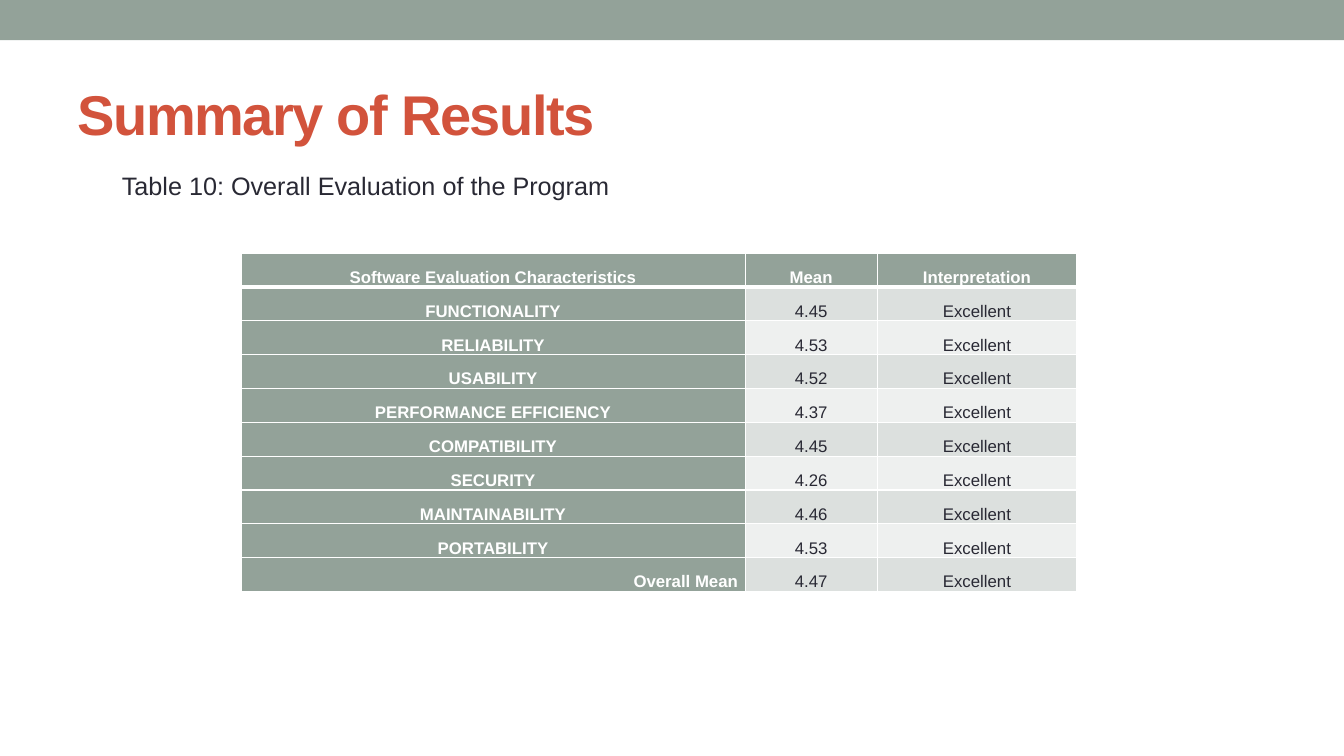
from dataclasses import dataclass

import lxml.etree
import pptx
import pptx.dml.color
import pptx.enum.shapes
import pptx.enum.text
import pptx.oxml.ns
import pptx.util

Inches = pptx.util.Inches
Align = pptx.enum.text.PP_ALIGN
Anchor = pptx.enum.text.MSO_ANCHOR

COLORS = {
    "sage": "93A299",
    "rust": "D2533C",
    "ink": "292934",
    "white": "FFFFFF",
    "band_dark": "DCE0DE",
    "band_light": "EEF0EF",
}
FONT = "Arial"
HEADERS = ("Software Evaluation Characteristics", "Mean", "Interpretation")
COLUMN_WIDTHS = (5, 1.31, 1.98)
ROW_HEIGHT = 0.336


@dataclass(frozen=True)
class Result:
    characteristic: str
    mean: str
    interpretation: str = "Excellent"


@dataclass(frozen=True)
class TextStyle:
    size: float
    color: str
    bold: bool = False
    spacing: float = 0


@dataclass(frozen=True)
class Label:
    text: str
    left: float
    top: float
    width: float
    height: float
    style: TextStyle
    anchor: Anchor = Anchor.TOP
    wrap: bool = True


RESULTS = (
    Result("FUNCTIONALITY", "4.45"),
    Result("RELIABILITY", "4.53"),
    Result("USABILITY", "4.52"),
    Result("PERFORMANCE EFFICIENCY", "4.37"),
    Result("COMPATIBILITY", "4.45"),
    Result("SECURITY", "4.26"),
    Result("MAINTAINABILITY", "4.46"),
    Result("PORTABILITY", "4.53"),
    Result("Overall Mean", "4.47"),
)
LABELS = (
    Label("Summary of Results", 0.67, 0.58, 12, 1.08,
          TextStyle(40, "rust", True, -1), Anchor.MIDDLE),
    Label("Table 10: Overall Evaluation of the Program", 1.11, 1.64, 5.08, 0.4,
          TextStyle(18, "ink"), wrap=False),
)
HEADING = TextStyle(12, "white", True)
BODY = TextStyle(12, "ink")


def rgb(name: str) -> pptx.dml.color.RGBColor:
    return pptx.dml.color.RGBColor.from_string(COLORS[name])


def write_text(text_frame: pptx.text.text.TextFrame, text: str, style: TextStyle) -> None:
    text_frame.text = text
    run = text_frame.paragraphs[0].runs[0]
    run.font.name = FONT
    run.font.size = pptx.util.Pt(style.size)
    run.font.bold = style.bold
    run.font.color.rgb = rgb(style.color)
    if style.spacing:
        run.font._element.set("spc", str(round(style.spacing * 100)))


def add_label(slide: pptx.slide.Slide, label: Label) -> None:
    position = map(Inches, (label.left, label.top, label.width, label.height))
    text_frame = slide.shapes.add_textbox(*position).text_frame
    text_frame.word_wrap = label.wrap
    text_frame.vertical_anchor = label.anchor
    write_text(text_frame, label.text, label.style)


def add_banner(slide: pptx.slide.Slide, width: int) -> None:
    banner = slide.shapes.add_shape(
        pptx.enum.shapes.MSO_SHAPE.RECTANGLE, 0, 0, width, Inches(0.4))
    banner.shadow.inherit = False
    banner.fill.solid()
    banner.fill.fore_color.rgb = rgb("sage")
    banner.line.fill.background()


def set_borders(cell: pptx.table._Cell, top: float, bottom: float) -> None:
    properties = cell._tc.get_or_add_tcPr()
    widths = {"lnL": 1, "lnR": 1, "lnT": top, "lnB": bottom}
    for index, (side, width) in enumerate(widths.items()):
        line = lxml.etree.Element(pptx.oxml.ns.qn(f"a:{side}"), w=str(pptx.util.Pt(width)))
        fill = lxml.etree.SubElement(line, pptx.oxml.ns.qn("a:solidFill"))
        lxml.etree.SubElement(fill, pptx.oxml.ns.qn("a:srgbClr"), val=COLORS["white"])
        properties.insert(index, line)


def fill_cell(cell: pptx.table._Cell, text: str, row: int, column: int, last_row: int) -> None:
    is_heading = row == 0 or column == 0
    write_text(cell.text_frame, text, HEADING if is_heading else BODY)
    paragraph = cell.text_frame.paragraphs[0]
    paragraph.alignment = Align.RIGHT if (row, column) == (last_row, 0) else Align.CENTER
    paragraph.line_spacing = 1.07
    cell.vertical_anchor = Anchor.BOTTOM
    cell.margin_left = cell.margin_right = Inches(0.07)
    cell.margin_top = cell.margin_bottom = 0
    band = "band_dark" if row % 2 else "band_light"
    cell.fill.solid()
    cell.fill.fore_color.rgb = rgb("sage" if is_heading else band)
    set_borders(cell, top=3 if row == 1 else 1, bottom=3 if row == 0 else 1)


def add_results_table(slide: pptx.slide.Slide) -> None:
    rows = [HEADERS] + [(r.characteristic, r.mean, r.interpretation) for r in RESULTS]
    table = slide.shapes.add_table(
        len(rows), len(HEADERS), Inches(2.39), Inches(2.51),
        Inches(sum(COLUMN_WIDTHS)), Inches(ROW_HEIGHT * len(rows))).table
    for column, width in zip(table.columns, COLUMN_WIDTHS):
        column.width = Inches(width)
    for row, values in enumerate(rows):
        table.rows[row].height = Inches(ROW_HEIGHT)
        for column, text in enumerate(values):
            fill_cell(table.cell(row, column), text, row, column, len(RESULTS))


presentation = pptx.Presentation()
presentation.slide_width = Inches(13.33)
presentation.slide_height = Inches(7.5)
slide = presentation.slides.add_slide(presentation.slide_layouts[6])
add_banner(slide, presentation.slide_width)
add_results_table(slide)
for label in LABELS:
    add_label(slide, label)
presentation.save("out.pptx")
